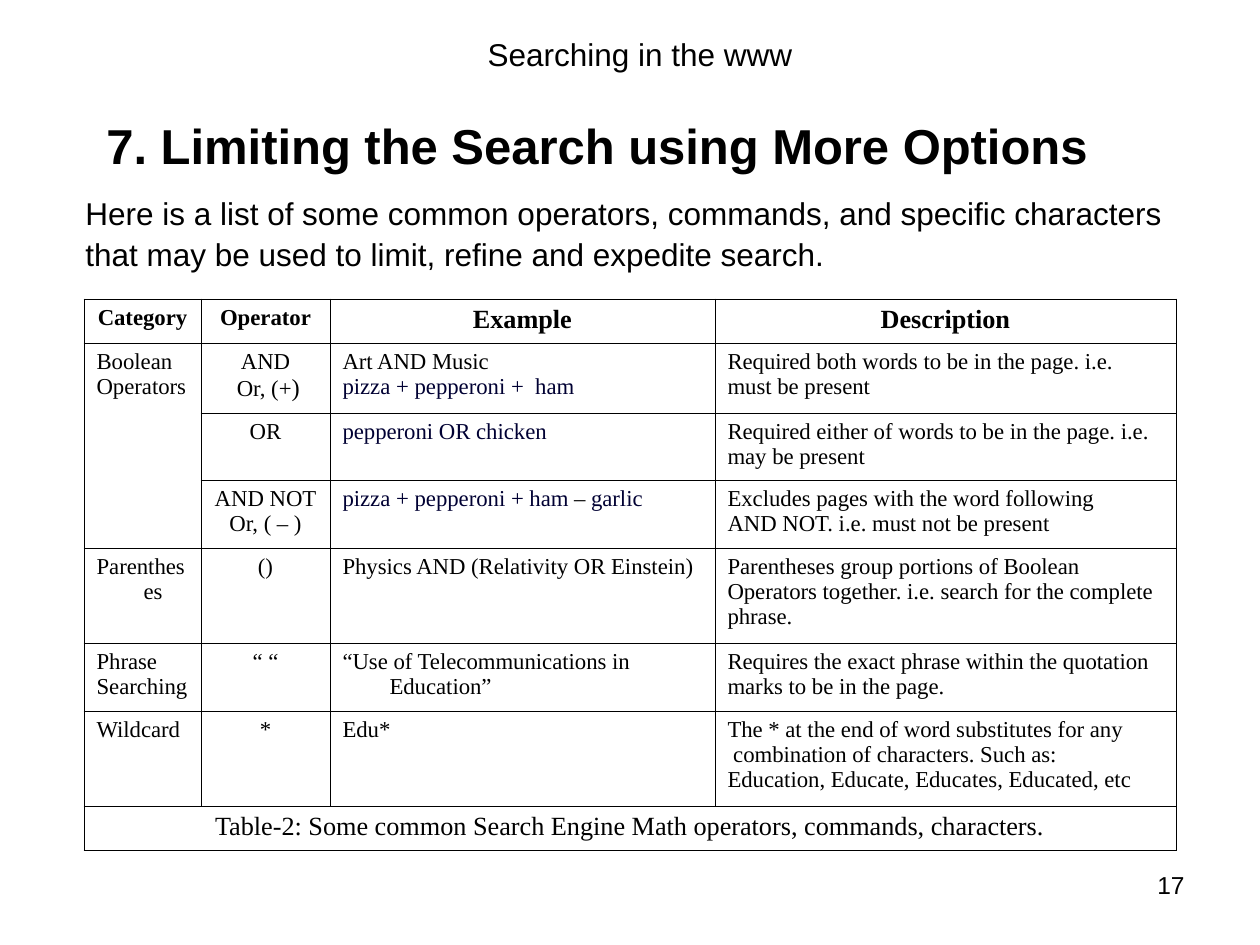
from lxml import etree
from pptx import Presentation
from pptx.dml.color import RGBColor
from pptx.enum.text import MSO_ANCHOR, PP_ALIGN
from pptx.oxml.ns import qn
from pptx.util import Pt

LEFT, MID, RIGHT, JUST = PP_ALIGN.LEFT, PP_ALIGN.CENTER, PP_ALIGN.RIGHT, PP_ALIGN.JUSTIFY
TOP, CENTER = MSO_ANCHOR.TOP, MSO_ANCHOR.MIDDLE
PX = 914400 / 126

THEME = {
    "sans": "Arial", "serif": "Times New Roman",
    "ink": "000000", "navy": "000033",
    "title": 28, "body": 18, "page": 14,
    "cell": 13, "paren": 14, "head": 15,
    "rule": 0.45, "lead": 1.08,
}
INK, NAVY = THEME["ink"], THEME["navy"]
CELL, HEAD = THEME["cell"], THEME["head"]


def px(n):
    return int(n * PX)


def add_run(para, text, face, size, color=INK, bold=False):
    run = para.add_run()
    run.text = text
    font = run.font
    font.name, font.size, font.bold = face, Pt(size), bold
    font.color.rgb = RGBColor.from_string(color)


prs = Presentation()
prs.slide_width, prs.slide_height = px(1260), px(945)
slide = prs.slides.add_slide(prs.slide_layouts[6])

# Header, title, intro and page number
boxes = [
    ("Searching in the www", (199, 21, 882, 63), "body", MID, CENTER, False),
    ("7. Limiting the Search using More Options", (94, 105, 1071, 72), "title", LEFT, TOP, True),
    ("Here is a list of some common operators, commands, and specific characters "
     "that may be used to limit, refine and expedite search.",
     (73, 185, 1124, 88), "body", LEFT, TOP, False),
    ("17", (903, 861, 294, 65), "page", RIGHT, TOP, False),
]
for text, area, size, align, anchor, bold in boxes:
    frame = slide.shapes.add_textbox(*map(px, area)).text_frame
    frame.word_wrap = True
    frame.vertical_anchor = anchor
    para = frame.paragraphs[0]
    para.alignment = align
    para.line_spacing = THEME["lead"]
    add_run(para, text, THEME["sans"], THEME[size], INK, bold)

# Table text: a cell is a list of lines, a line is a list of (text, size, color)
def line(text, size=CELL, color=INK):
    return [(text, size, color)]


rows = [
    [[line("Category")], [line("Operator")],
     [line("Example", HEAD)], [line("Description", HEAD)]],
    [[line("Boolean"), line("Operators")],
     [line("AND"), line(" Or, (+") + line(")", THEME["paren"])],
     [line("Art AND Music"), line("pizza + pepperoni +  ham", CELL, NAVY)],
     [line("Required both words to be in the page. i.e."), line("must be present")]],
    [None, [line("OR")], [line("pepperoni OR chicken", CELL, NAVY)],
     [line("Required either of words to be in the page. i.e."), line("may be present")]],
    [None, [line("AND NOT"), line("Or, ( – )")],
     [line("pizza + pepperoni + ham ", CELL, NAVY) + line("– ") + line("garlic", CELL, NAVY)],
     [line("Excludes pages with the word following"),
      line("AND NOT. i.e. must not be present")]],
    [[line("Parentheses")], [line("()")], [line("Physics AND (Relativity OR Einstein)")],
     [line("Parentheses group portions of Boolean"),
      line("Operators together. i.e. search for the complete"), line("phrase.")]],
    [[line("Phrase"), line("Searching")], [line("“ “")],
     [line("“Use of Telecommunications in Education”")],
     [line("Requires the exact phrase within the quotation"),
      line("marks to be in the page.")]],
    [[line("Wildcard")], [line("*")], [line("Edu*")],
     [line("The * at the end of word substitutes for any"),
      line(" combination of characters. Such as:"),
      line("Education, Educate, Educates, Educated, etc")]],
    [[line("Table-2: Some common Search Engine Math operators, commands, characters.", HEAD)],
     None, None, None],
]
widths = [117, 129, 385, 461]
heights = [44, 70, 67, 68, 95, 68, 95, 44]
aligns = [LEFT, MID, LEFT, JUST]
last = len(rows) - 1

# Table grid
table = slide.shapes.add_table(
    len(rows), len(widths), px(84), px(299), px(sum(widths)), px(sum(heights))).table
table.first_row = table.horz_banding = False
for col, width in zip(table.columns, widths):
    col.width = px(width)
for row, height in zip(table.rows, heights):
    row.height = px(height)
table.cell(1, 0).merge(table.cell(3, 0))
table.cell(last, 0).merge(table.cell(last, 3))

# Cell borders and text
for r, row in enumerate(rows):
    for c, lines in enumerate(row):
        cell = table.cell(r, c)
        props = cell._tc.get_or_add_tcPr()
        for side in ("lnL", "lnR", "lnT", "lnB"):
            rule = etree.SubElement(props, qn("a:" + side), w=str(Pt(THEME["rule"])))
            fill = etree.SubElement(rule, qn("a:solidFill"))
            etree.SubElement(fill, qn("a:srgbClr"), val=INK)
        cell.fill.background()
        for i, runs in enumerate(lines or []):
            frame = cell.text_frame
            para = frame.add_paragraph() if i else frame.paragraphs[0]
            para.alignment = MID if r in (0, last) else aligns[c]
            if r != last:
                hang = para._p.get_or_add_pPr()
                hang.set("marL", str(px(47)))
                hang.set("indent", str(-px(47)))
            for text, size, color in runs:
                add_run(para, text, THEME["serif"], size, color, r == 0)

prs.save("out.pptx")
